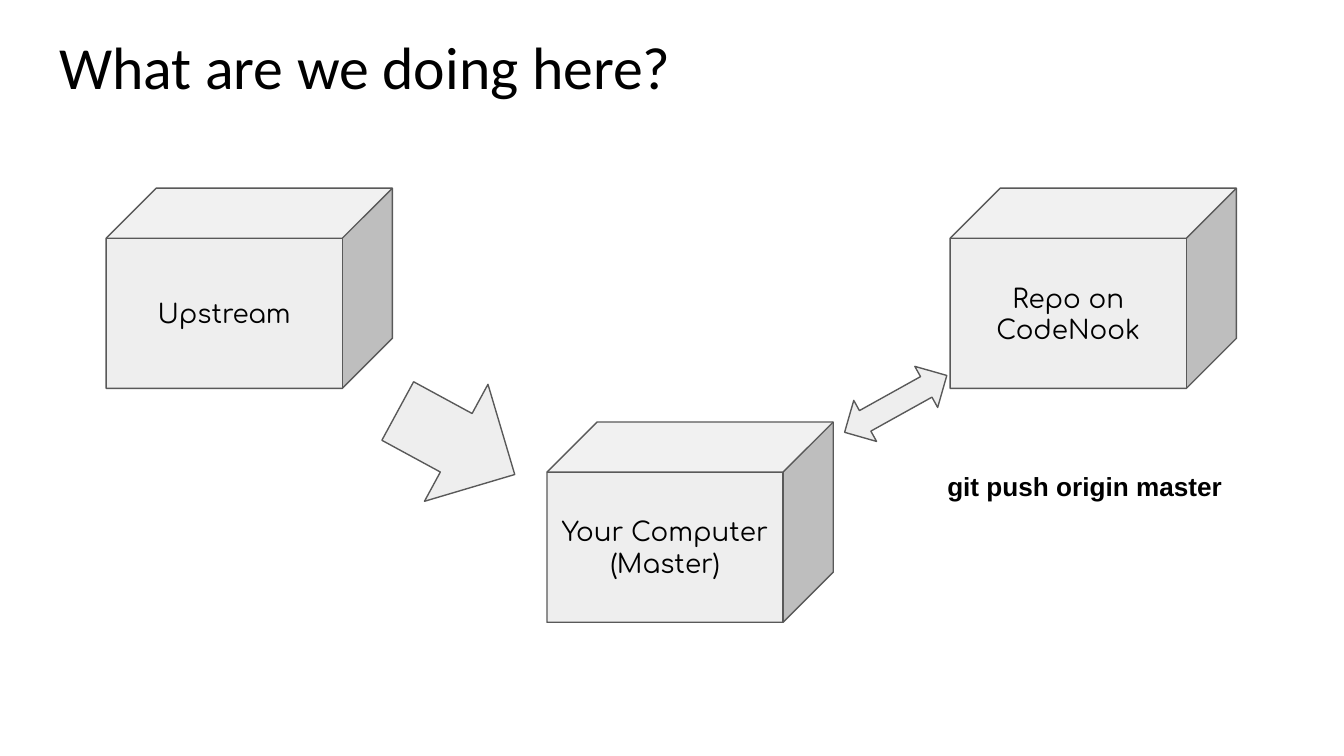
from pptx import Presentation
from pptx.dml.color import RGBColor
from pptx.enum.shapes import MSO_SHAPE
from pptx.enum.text import MSO_ANCHOR, PP_ALIGN
from pptx.util import Inches, Pt

CUBE, RIGHT, BOTH = MSO_SHAPE.CUBE, MSO_SHAPE.RIGHT_ARROW, MSO_SHAPE.LEFT_RIGHT_ARROW
TOP, MIDDLE = MSO_ANCHOR.TOP, MSO_ANCHOR.MIDDLE
LEFT, CENTER = PP_ALIGN.LEFT, PP_ALIGN.CENTER

TITLE = "What are we doing here?"
COMMAND = "git push origin master"
CUBE_SIZE = (2.13, 1.49)
CUBES = [
    (0.79, 1.4, ["Upstream"]),
    (4.07, 3.14, ["Your Computer", "(Master)"]),
    (7.07, 1.4, ["Repo on CodeNook"]),
]
ARROWS = [
    (RIGHT, (2.9, 2.8, 0.99, 0.99), 28.5),
    (BOTH, (6.23, 2.83, 0.87, 0.35), 330.9),
]
TITLE_FONT = {"name": "Calibri", "size": Pt(32), "bold": False}
CUBE_FONT = {"name": "Comfortaa", "size": Pt(14), "bold": False}
COMMAND_FONT = {"name": "Arial", "size": Pt(14), "bold": True}


def color(target, value):
    """Set a colour from a hex string."""
    target.rgb = RGBColor.from_string(value)


def write(sp, lines, font, align=LEFT, anchor=TOP):
    """Fill a shape with formatted paragraphs."""
    tf = sp.text_frame
    tf.word_wrap = True
    tf.vertical_anchor = anchor
    for side in ("left", "top", "right", "bottom"):
        setattr(tf, f"margin_{side}", Inches(0.1))
    tf.text = "\n".join(lines)
    for p in tf.paragraphs:
        p.alignment = align
        for r in p.runs:
            for key, value in font.items():
                setattr(r.font, key, value)
            color(r.font.color, "000000")


def draw(s, kind, box, rotation=0):
    """Add a grey outlined preset shape."""
    sp = s.shapes.add_shape(kind, *map(Inches, box))
    sp.rotation = rotation
    sp.shadow.inherit = False
    sp.fill.solid()
    color(sp.fill.fore_color, "EEEEEE")
    color(sp.line.color, "595959")
    sp.line.width = Pt(0.75)
    return sp


prs = Presentation()
prs.slide_width = Inches(10)
prs.slide_height = prs.slide_width * 9 // 16
s = prs.slides.add_slide(prs.slide_layouts[5])

title = s.shapes.title
title.left, title.top, title.width, title.height = map(Inches, (0.34, 0.12, 9.32, 0.63))
write(title, [TITLE], TITLE_FONT)

for x, y, lines in CUBES:
    write(draw(s, CUBE, (x, y, *CUBE_SIZE)), lines, CUBE_FONT, CENTER, MIDDLE)
for kind, box, rotation in ARROWS:
    draw(s, kind, box, rotation)

write(s.shapes.add_textbox(*map(Inches, (6.95, 3.4, 2.84, 0.37))), [COMMAND], COMMAND_FONT)

prs.save("out.pptx")
